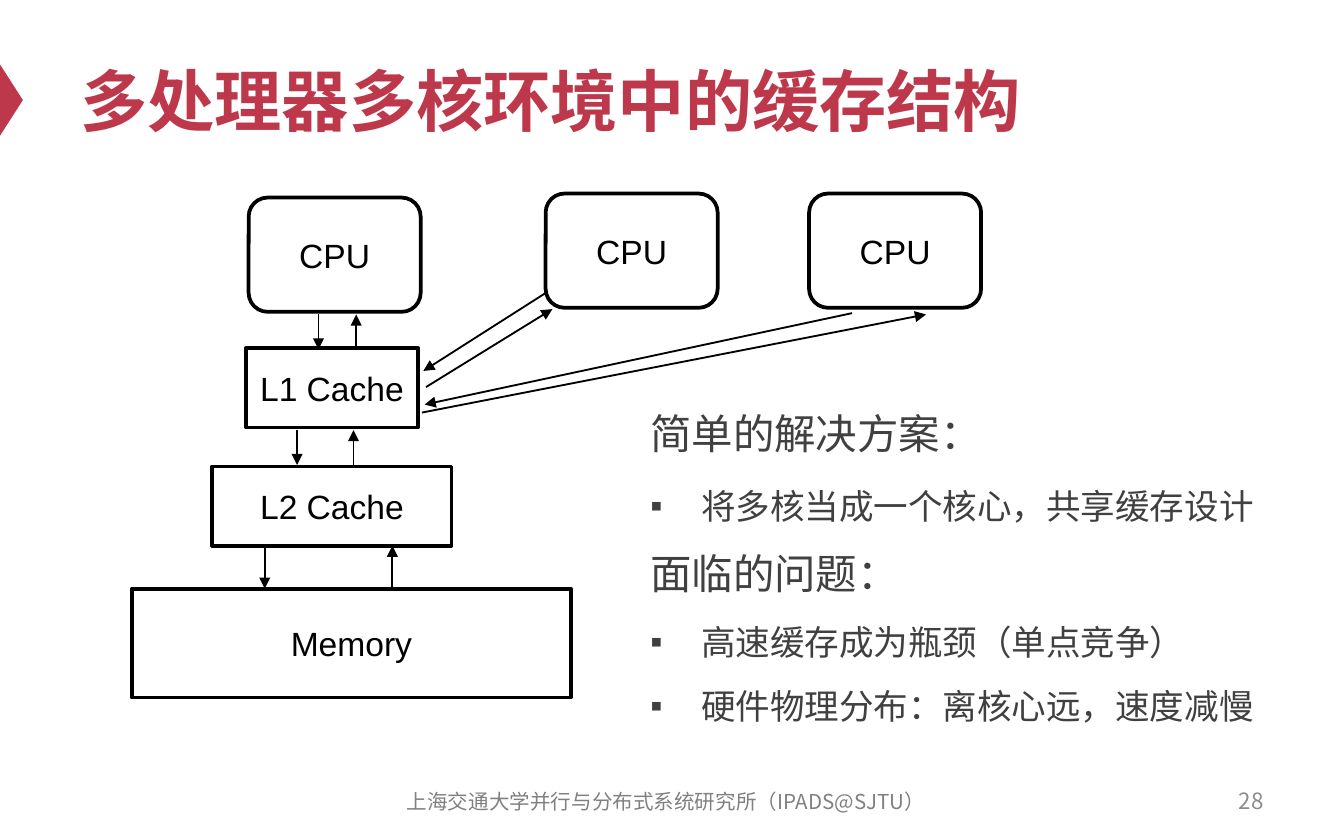
from typing import NamedTuple

from lxml import etree
from pptx import Presentation
from pptx.dml.color import RGBColor
from pptx.enum.shapes import MSO_CONNECTOR, MSO_SHAPE
from pptx.enum.text import MSO_ANCHOR, PP_ALIGN
from pptx.oxml.ns import qn
from pptx.util import Pt

RECT, ROUND = MSO_SHAPE.RECTANGLE, MSO_SHAPE.ROUNDED_RECTANGLE
TRIANGLE = MSO_SHAPE.ISOSCELES_TRIANGLE
STRAIGHT = MSO_CONNECTOR.STRAIGHT
TOP, MIDDLE = MSO_ANCHOR.TOP, MSO_ANCHOR.MIDDLE
LEFT, CENTER, RIGHT = PP_ALIGN.LEFT, PP_ALIGN.CENTER, PP_ALIGN.RIGHT

SCALE = 9144  # EMU per px, 100 px to the inch
RED, BLACK, DARK = "BE384B", "000000", "404040"
LATIN, HAN = "Arial", "Noto Sans CJK SC"


class Node(NamedTuple):
    text: str
    kind: int
    x: int
    y: int
    w: int
    h: int


class Arrow(NamedTuple):
    x1: int
    y1: int
    x2: int
    y2: int


class Line(NamedTuple):
    text: str
    size: float
    bullet: bool = False
    before: int = 12
    pitch: float = 1.0


class Label(NamedTuple):
    x: int
    y: int
    w: int
    h: int
    lines: list[Line]
    color: str
    font: str = LATIN
    align: int = LEFT
    anchor: int = MIDDLE
    bold: bool = False


NODES = [
    Node("CPU", ROUND, 185, 147, 128, 85),
    Node("CPU", ROUND, 406, 144, 128, 85),
    Node("CPU", ROUND, 602, 144, 128, 85),
    Node("L1 Cache", RECT, 183, 259, 128, 59),
    Node("L2 Cache", RECT, 158, 347, 178, 59),
    Node("Memory", RECT, 98, 438, 327, 81),
]
ARROWS = [
    # Between levels, down and up
    Arrow(237, 234, 237, 260), Arrow(265, 260, 265, 234),
    Arrow(221, 320, 221, 346), Arrow(263, 346, 263, 320),
    Arrow(197, 406, 197, 438), Arrow(292, 438, 292, 406),
    # Between the shared cache and the other cores
    Arrow(406, 218, 315, 276), Arrow(317, 288, 411, 230),
    Arrow(314, 307, 689, 234), Arrow(634, 233, 316, 301),
]
LABELS = [
    Label(50, 25, 900, 98, [Line("多处理器多核环境中的缓存结构", 36, before=0)],
          RED, bold=True),
    Label(474, 299, 490, 256, [
        Line("简单的解决方案：", 22.2, before=0),
        Line("将多核当成一个核心，共享缓存设计", 18.5, True, pitch=1.1),
        Line("面临的问题：", 22.2),
        Line("高速缓存成为瓶颈（单点竞争）", 18.5, True),
        Line("硬件物理分布：离核心远，速度减慢", 18.5, True),
    ], DARK, anchor=TOP),
    Label(279, 580, 433, 33,
          [Line("上海交通大学并行与分布式系统研究所（IPADS@SJTU）", 11, before=0)],
          "808080", HAN, CENTER),
    Label(717, 579, 233, 33, [Line("28", 12, before=0)], "8C8C8C", HAN, RIGHT),
]


def px(n: int) -> int:
    return n * SCALE


def rgb(code: str) -> RGBColor:
    return RGBColor.from_string(code)


def style(para, size: float, color: str, font: str = LATIN, bold: bool = False) -> None:
    for run in para.runs:
        face = run.font
        face.name, face.size, face.bold = font, Pt(size), bold
        face.color.rgb = rgb(color)
        etree.SubElement(run._r.get_or_add_rPr(), qn("a:ea"), typeface=HAN)


def add_bullet(para) -> None:
    props = para._p.get_or_add_pPr()
    props.set("marL", str(px(38)))
    props.set("indent", str(-px(38)))
    etree.SubElement(props, qn("a:buFont"), typeface=LATIN)
    etree.SubElement(props, qn("a:buChar"), char="▪")


def draw_node(slide, node: Node) -> None:
    shape = slide.shapes.add_shape(node.kind, px(node.x), px(node.y), px(node.w), px(node.h))
    shape.shadow.inherit = False
    shape.fill.background()
    shape.line.color.rgb = rgb(BLACK)
    shape.line.width = Pt(2)
    frame = shape.text_frame
    frame.text = node.text
    frame.word_wrap = False
    frame.vertical_anchor = MIDDLE
    para = frame.paragraphs[0]
    para.alignment = CENTER
    style(para, 18, BLACK)


def draw_arrow(slide, arrow: Arrow) -> None:
    link = slide.shapes.add_connector(STRAIGHT, *map(px, arrow))
    link.line.color.rgb = rgb(BLACK)
    link.line.width = Pt(1)
    etree.SubElement(link.line._get_or_add_ln(), qn("a:tailEnd"), type="triangle")
    etree.SubElement(link._element.spPr, qn("a:effectLst"))


def draw_label(slide, label: Label) -> None:
    box = slide.shapes.add_textbox(px(label.x), px(label.y), px(label.w), px(label.h))
    frame = box.text_frame
    frame.word_wrap = True
    frame.vertical_anchor = label.anchor
    frame.text = "\n".join(line.text for line in label.lines)
    for para, line in zip(frame.paragraphs, label.lines):
        if line.bullet:
            add_bullet(para)
        para.alignment = label.align
        para.space_before = Pt(line.before)
        para.line_spacing = line.pitch
        style(para, line.size, label.color, label.font, label.bold)


def draw_marker(slide) -> None:
    mark = slide.shapes.add_shape(TRIANGLE, px(-18), px(66), px(53), px(17))
    mark.rotation = 90
    mark.shadow.inherit = False
    mark.fill.solid()
    mark.fill.fore_color.rgb = rgb(RED)
    mark.line.fill.background()


def main() -> None:
    deck = Presentation()
    deck.slide_width, deck.slide_height = px(1000), px(625)
    slide = deck.slides.add_slide(deck.slide_layouts[6])

    # Title marker
    draw_marker(slide)
    # Cache diagram
    for node in NODES:
        draw_node(slide, node)
    for arrow in ARROWS:
        draw_arrow(slide, arrow)
    # Title, body and footer
    for label in LABELS:
        draw_label(slide, label)

    deck.save("out.pptx")


if __name__ == "__main__":
    main()
